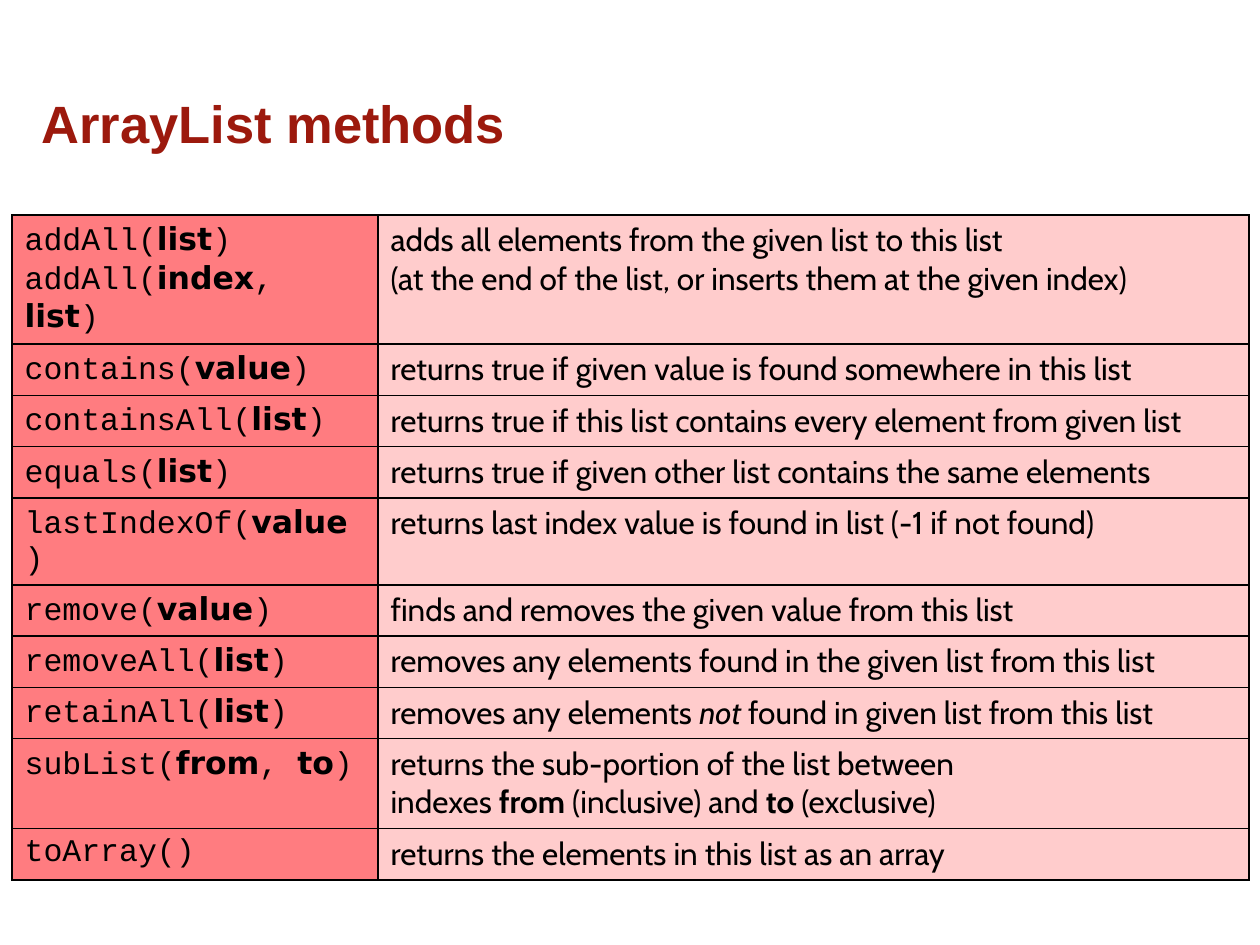
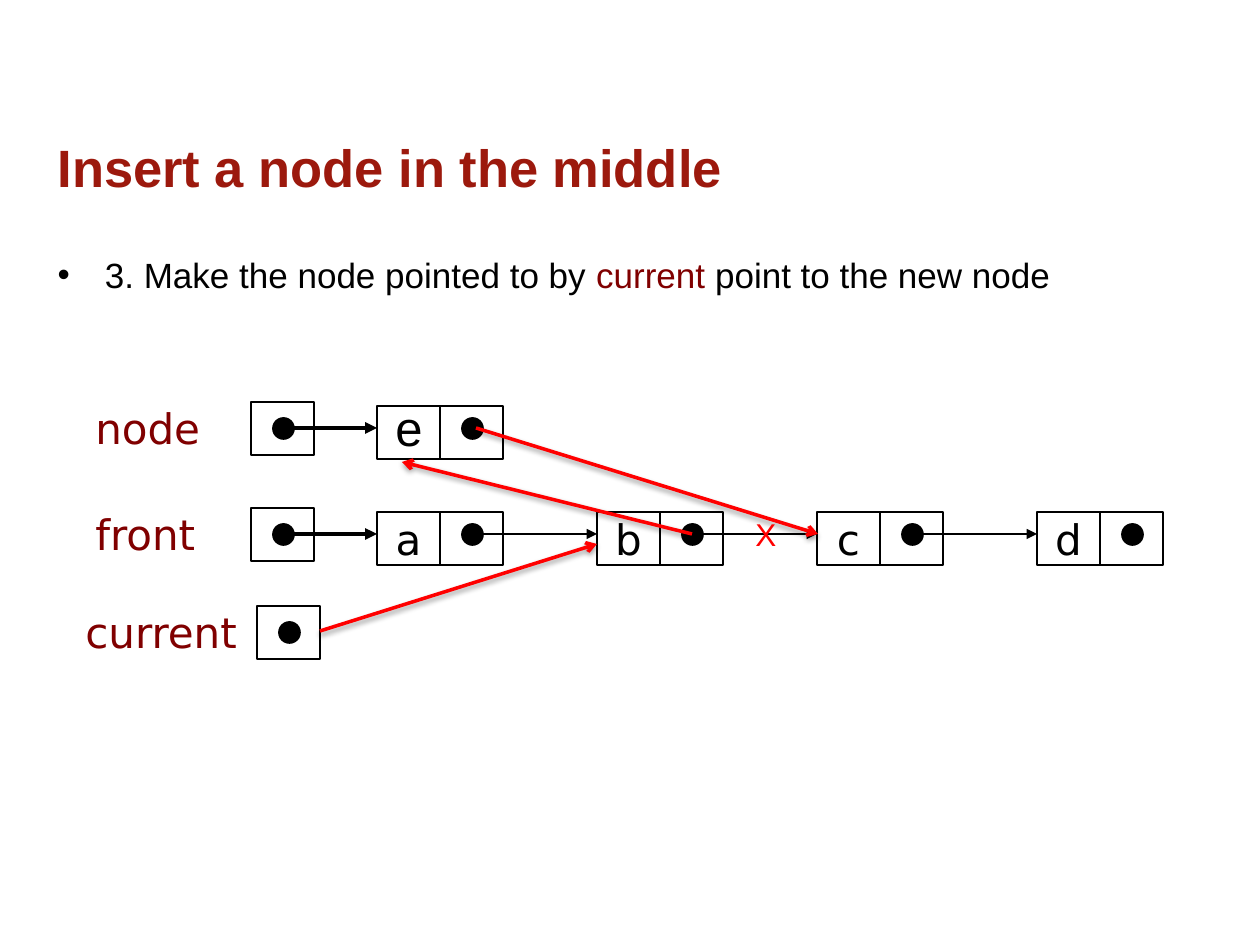
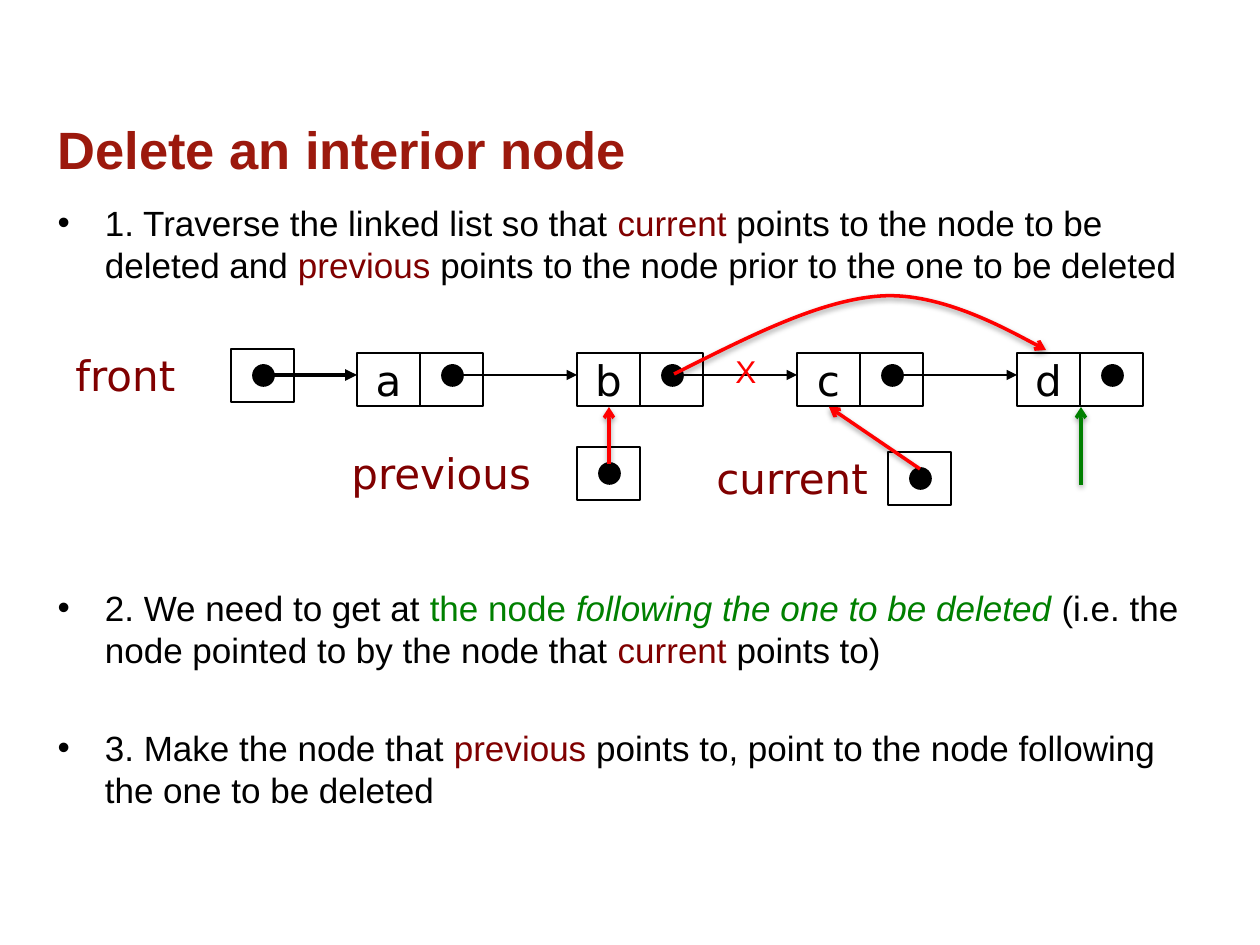
from dataclasses import dataclass
from typing import NamedTuple

from pptx import Presentation
from pptx.dml.color import RGBColor
from pptx.enum.shapes import MSO_CONNECTOR, MSO_SHAPE
from pptx.enum.text import MSO_ANCHOR, MSO_AUTO_SIZE, PP_ALIGN
from pptx.oxml.ns import qn
from pptx.oxml.xmlchemy import OxmlElement
from pptx.util import Emu, Pt

RECTANGLE, ELLIPSE = MSO_SHAPE.RECTANGLE, MSO_SHAPE.OVAL
STRAIGHT = MSO_CONNECTOR.STRAIGHT
TOP, MIDDLE = MSO_ANCHOR.TOP, MSO_ANCHOR.MIDDLE
LEFT, CENTER = PP_ALIGN.LEFT, PP_ALIGN.CENTER
NO_AUTOFIT = MSO_AUTO_SIZE.NONE

EMU_PER_PX = 914400 / 126
SLIDE_WIDTH, SLIDE_HEIGHT = 1260, 945
TITLE_ONLY, TITLE_AND_BODY = 5, 1

SANS, MONO, LABEL, PROSE = "Arial", "Courier New", "DejaVu Sans", "Cabin"
BLACK, TITLE_RED, MAROON = "000000", "9C190D", "800000"
RED, GREEN = "FF0000", "008000"
METHOD_FILL, MEANING_FILL = "FF7C80", "FFCCCC"

CELL_WIDTH, CELL_HEIGHT = 63, 53
DOT_SIZE = 21
NODE_PITCH = 220
LINK_DOT_X, LINK_DOT_Y = 32, 22
POINTER_DOT_Y = 26
BREAK = "\n"


class Run(NamedTuple):
    text: str
    font: str | None = None
    color: str | None = None
    bold: bool | None = None
    italic: bool | None = None


class Point(NamedTuple):
    x: int
    y: int


class Box(NamedTuple):
    left: int
    top: int
    width: int
    height: int


Wording = list[str | Run]


@dataclass
class Method:
    calls: list[Wording]
    meaning: list[Wording]
    height: int = 51


@dataclass
class Pointer:
    name: str
    left: int
    top: int
    label_left: int
    label_width: int = 179
    arrow_end: int | None = None


@dataclass
class Item:
    wording: Wording
    space_before: int = 0


def px(length: int) -> Emu:
    return Emu(round(length * EMU_PER_PX))


def rgb(color: str) -> RGBColor:
    return RGBColor.from_string(color)


def element(tag: str, **attributes: str):
    made = OxmlElement(tag)
    for key, value in attributes.items():
        made.set(key, value)
    return made


def param(name: str) -> Run:
    return Run(name, font=LABEL, bold=True)


def variable(name: str) -> Run:
    return Run(name, color=MAROON)


def write(paragraph, wording: Wording, font: str, size: int, color: str = BLACK) -> None:
    paragraph.font.name = font
    paragraph.font.size = Pt(size)
    paragraph.font.color.rgb = rgb(color)
    for words in wording:
        if words == BREAK:
            paragraph.add_line_break()
            continue
        piece = Run(words) if isinstance(words, str) else words
        run = paragraph.add_run()
        run.text = piece.text
        if piece.font:
            run.font.name = piece.font
        if piece.color:
            run.font.color.rgb = rgb(piece.color)
        if piece.bold:
            run.font.bold = True
        if piece.italic:
            run.font.italic = True


def place(shape, box: Box) -> None:
    shape.left, shape.top, shape.width, shape.height = map(px, box)


def add_slide(deck, layout: int, title: str, left: int, top: int):
    slide = deck.slides.add_slide(deck.slide_layouts[layout])
    heading = slide.shapes.title
    place(heading, Box(left, top, 1169, 91))
    frame = heading.text_frame
    frame.auto_size = NO_AUTOFIT
    frame.vertical_anchor = MIDDLE
    frame.margin_bottom = px(15)
    paragraph = frame.paragraphs[0]
    paragraph.alignment = LEFT
    write(paragraph, [title], SANS, 30, TITLE_RED)
    paragraph.font.bold = True
    return slide


def fill_body(slide, box: Box, items: list[Item]) -> None:
    body = slide.placeholders[1]
    place(body, box)
    frame = body.text_frame
    frame.auto_size = NO_AUTOFIT
    frame.vertical_anchor = TOP
    for index, item in enumerate(items):
        paragraph = frame.add_paragraph() if index else frame.paragraphs[0]
        paragraph.space_before = Pt(item.space_before)
        paragraph.line_spacing = Pt(24)
        write(paragraph, item.wording, SANS, 20)


def add_text(slide, box: Box, text: str, font: str, size: int, color: str, wrap: bool = False) -> None:
    frame = slide.shapes.add_textbox(*map(px, box)).text_frame
    frame.word_wrap = wrap
    write(frame.paragraphs[0], [text], font, size, color)


def draw_shape(slide, kind, box: Box, fill: str | None = None):
    shape = slide.shapes.add_shape(kind, *map(px, box))
    shape.shadow.inherit = False
    if fill:
        shape.fill.solid()
        shape.fill.fore_color.rgb = rgb(fill)
    else:
        shape.fill.background()
    shape.line.color.rgb = rgb(BLACK)
    shape.line.width = Pt(1)
    return shape


def draw_cell(slide, left: int, top: int, letter: str = "") -> None:
    cell = draw_shape(slide, RECTANGLE, Box(left, top, CELL_WIDTH, CELL_HEIGHT))
    if letter:
        frame = cell.text_frame
        frame.word_wrap = False
        frame.vertical_anchor = MIDDLE
        frame.paragraphs[0].alignment = CENTER
        write(frame.paragraphs[0], [letter], LABEL, 24)


def draw_dot(slide, center: Point) -> None:
    corner = DOT_SIZE // 2
    draw_shape(slide, ELLIPSE, Box(center.x - corner, center.y - corner, DOT_SIZE, DOT_SIZE), BLACK)


def style_arrow(arrow, color: str, width: float, head: str, shadow: bool) -> None:
    arrow.line.color.rgb = rgb(color)
    arrow.line.width = Pt(width)
    arrow.line._get_or_add_ln().append(element("a:tailEnd", type=head))
    effects = element("a:effectLst")
    if shadow:
        outer = element("a:outerShdw", blurRad="40000", dist="20000", dir="5400000", rotWithShape="0")
        tint = element("a:srgbClr", val=BLACK)
        tint.append(element("a:alpha", val="38000"))
        outer.append(tint)
        effects.append(outer)
    arrow._element.spPr.append(effects)


def draw_link(slide, start: Point, end: Point, width: float = 1) -> None:
    link = slide.shapes.add_connector(STRAIGHT, *map(px, (*start, *end)))
    style_arrow(link, BLACK, width, "triangle", False)


def draw_step(slide, start: Point, end: Point, color: str = RED) -> None:
    step = slide.shapes.add_connector(STRAIGHT, *map(px, (*start, *end)))
    style_arrow(step, color, 2, "arrow", True)


def draw_bypass(slide, start: Point, controls: list[Point]) -> None:
    builder = slide.shapes.build_freeform(start.x, start.y, scale=EMU_PER_PX)
    builder.add_line_segments(controls, close=False)
    bypass = builder.convert_to_shape()
    segments = list(bypass._element.iter(qn("a:lnTo")))
    for first in range(0, len(segments), 3):
        curve = element("a:cubicBezTo")
        segments[first].addprevious(curve)
        for segment in segments[first:first + 3]:
            curve.append(segment[0])
            segment.getparent().remove(segment)
    bypass.fill.background()
    style_arrow(bypass, RED, 2, "arrow", True)


def draw_node(slide, left: int, top: int, letter: str = "") -> Point:
    link_left = left + CELL_WIDTH
    draw_cell(slide, left, top, letter)
    draw_cell(slide, link_left, top)
    center = Point(link_left + LINK_DOT_X, top + LINK_DOT_Y)
    draw_dot(slide, center)
    return center


def draw_list(slide, left: int, top: int, letters: str) -> None:
    for index, letter in enumerate(letters):
        node_left = left + index * NODE_PITCH
        center = draw_node(slide, node_left, top, letter)
        if index < len(letters) - 1:
            draw_link(slide, center, Point(node_left + NODE_PITCH, center.y))


def draw_pointer(slide, pointer: Pointer) -> None:
    center = Point(pointer.left + LINK_DOT_X, pointer.top + POINTER_DOT_Y)
    draw_dot(slide, center)
    draw_cell(slide, pointer.left, pointer.top)
    if pointer.arrow_end:
        draw_link(slide, Point(center.x + DOT_SIZE // 2, center.y), Point(pointer.arrow_end, center.y), 2.25)
    label = Box(pointer.label_left, pointer.top - 6, pointer.label_width, 63)
    add_text(slide, label, pointer.name, LABEL, 24, MAROON, wrap=True)


def draw_cut(slide, left: int, top: int) -> None:
    add_text(slide, Box(left, top, 47, 50), "X", SANS, 18, RED)


def fill_cell(cell, lines: list[Wording], font: str, fill: str) -> None:
    cell.fill.solid()
    cell.fill.fore_color.rgb = rgb(fill)
    frame = cell.text_frame
    for index, wording in enumerate(lines):
        paragraph = frame.add_paragraph() if index else frame.paragraphs[0]
        write(paragraph, wording, font, 18)
    properties = cell._tc.get_or_add_tcPr()
    for index, side in enumerate(("a:lnL", "a:lnR", "a:lnT", "a:lnB")):
        border = element(side, w="12700")
        paint = element("a:solidFill")
        paint.append(element("a:srgbClr", val=BLACK))
        border.append(paint)
        properties.insert(index, border)


METHODS = [
    Method(
        [["addAll(", param("list"), ")"], ["addAll(", param("index"), ", ", param("list"), ")"]],
        [["adds all elements from the given list to this list"],
         ["(at the end of the list, or inserts them at the given index)"]],
        129,
    ),
    Method([["contains(", param("value"), ")"]],
           [["returns true if given value is found somewhere in this list"]]),
    Method([["containsAll(", param("list"), ")"]],
           [["returns true if this list contains every element from given list"]]),
    Method([["equals(", param("list"), ")"]],
           [["returns true if given other list contains the same elements"]]),
    Method([["lastIndexOf(", param("value"), ")"]],
           [["returns last index value is found in list (-1 if not found)"]], 87),
    Method([["remove(", param("value"), ")"]],
           [["finds and removes the given value from this list"]]),
    Method([["removeAll(", param("list"), ")"]],
           [["removes any elements found in the given list from this list"]]),
    Method([["retainAll(", param("list"), ")"]],
           [["removes any elements ", Run("not", italic=True), " found in given list from this list"]]),
    Method(
        [["subList(", param("from"), ", ", param("to"), ")"]],
        [["returns the sub-portion of the list between", BREAK, "indexes ", Run("from", bold=True),
          " (inclusive) and ", Run("to", bold=True), " (exclusive)"]],
        90,
    ),
    Method([["toArray()"]], [["returns the elements in this list as an array"]]),
]


def build_methods(deck) -> None:
    slide = add_slide(deck, TITLE_ONLY, "ArrayList methods", 29, 81)
    widths = (366, 871)
    total = sum(method.height for method in METHODS)
    frame = Box(12, 215, sum(widths), total)
    table = slide.shapes.add_table(len(METHODS), len(widths), *map(px, frame)).table
    table.first_row = False
    table.horz_banding = False
    for column, width in zip(table.columns, widths):
        column.width = px(width)
    for row, method in zip(table.rows, METHODS):
        row.height = px(method.height)
        fill_cell(row.cells[0], method.calls, MONO, METHOD_FILL)
        fill_cell(row.cells[1], method.meaning, PROSE, MEANING_FILL)


def build_insertion(deck) -> None:
    slide = add_slide(deck, TITLE_AND_BODY, "Insert a node in the middle", 45, 125)
    fill_body(slide, Box(45, 247, 1169, 602), [
        Item(["3. Make the node pointed to by ", variable("current "), "point to the new node"]),
    ])
    draw_list(slide, 377, 512, "abcd")
    draw_node(slide, 377, 406)
    add_text(slide, Box(383, 391, 53, 72), "e", SANS, 28, BLACK)
    for pointer in (
        Pointer("front", 251, 508, 83, arrow_end=377),
        Pointer("node", 251, 402, 83, arrow_end=377),
        Pointer("current", 257, 606, 73),
    ):
        draw_pointer(slide, pointer)
    draw_step(slide, Point(320, 631), Point(597, 544))
    draw_step(slide, Point(476, 428), Point(818, 534))
    draw_cut(slide, 743, 509)
    draw_step(slide, Point(692, 534), Point(402, 462))


def build_deletion(deck) -> None:
    slide = add_slide(deck, TITLE_AND_BODY, "Delete an interior node", 45, 107)
    fill_body(slide, Box(45, 195, 1169, 113), [
        Item(["1. Traverse the linked list so that ", variable("current "),
              "points to the node to be deleted and ", variable("previous "),
              "points to the node prior to the one to be deleted"]),
        Item(["2. We need to get at ", Run("the node ", color=GREEN),
              Run("following the one to be deleted ", color=GREEN, italic=True),
              "(i.e. the node pointed to by the node that ", variable("current "), "points to)"], 172),
        Item(["3. Make the node that ", variable("previous "),
              "points to, point to the node following the one to be deleted"], 32),
    ])
    draw_list(slide, 357, 353, "abcd")
    for pointer in (
        Pointer("front", 231, 349, 63, arrow_end=357),
        Pointer("current", 888, 452, 704),
        Pointer("previous", 577, 447, 339, 233),
    ):
        draw_pointer(slide, pointer)
    draw_step(slide, Point(920, 469), Point(829, 407))
    draw_step(slide, Point(609, 464), Point(609, 407))
    draw_step(slide, Point(1081, 485), Point(1081, 407), GREEN)
    draw_bypass(slide, Point(674, 374), [
        Point(746, 338), Point(819, 300), Point(881, 296),
        Point(942, 292), Point(1046, 350), Point(1046, 350),
    ])
    draw_cut(slide, 723, 346)


def main() -> None:
    deck = Presentation()
    deck.slide_width, deck.slide_height = px(SLIDE_WIDTH), px(SLIDE_HEIGHT)
    build_methods(deck)
    build_insertion(deck)
    build_deletion(deck)
    deck.save("out.pptx")


if __name__ == "__main__":
    main()
